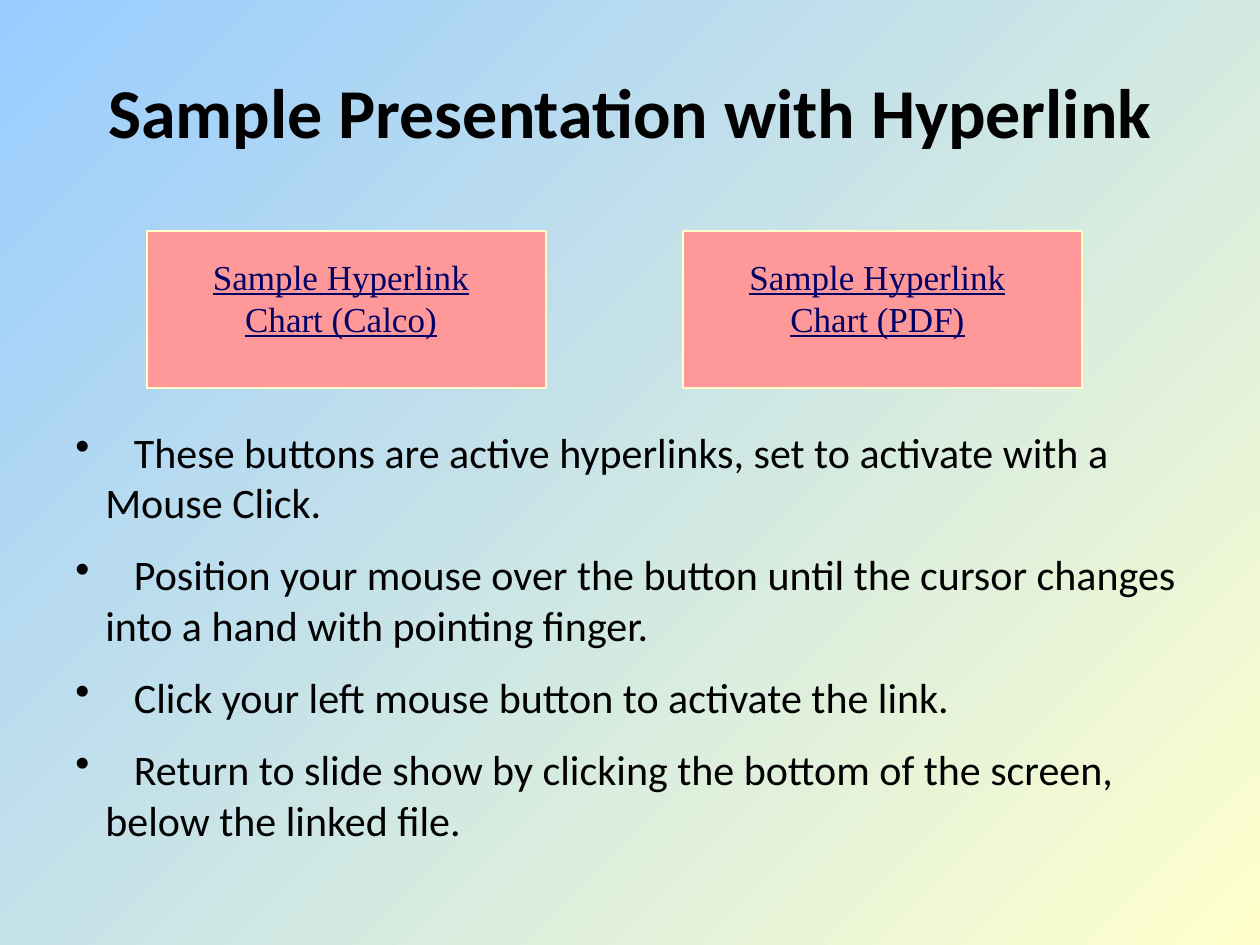
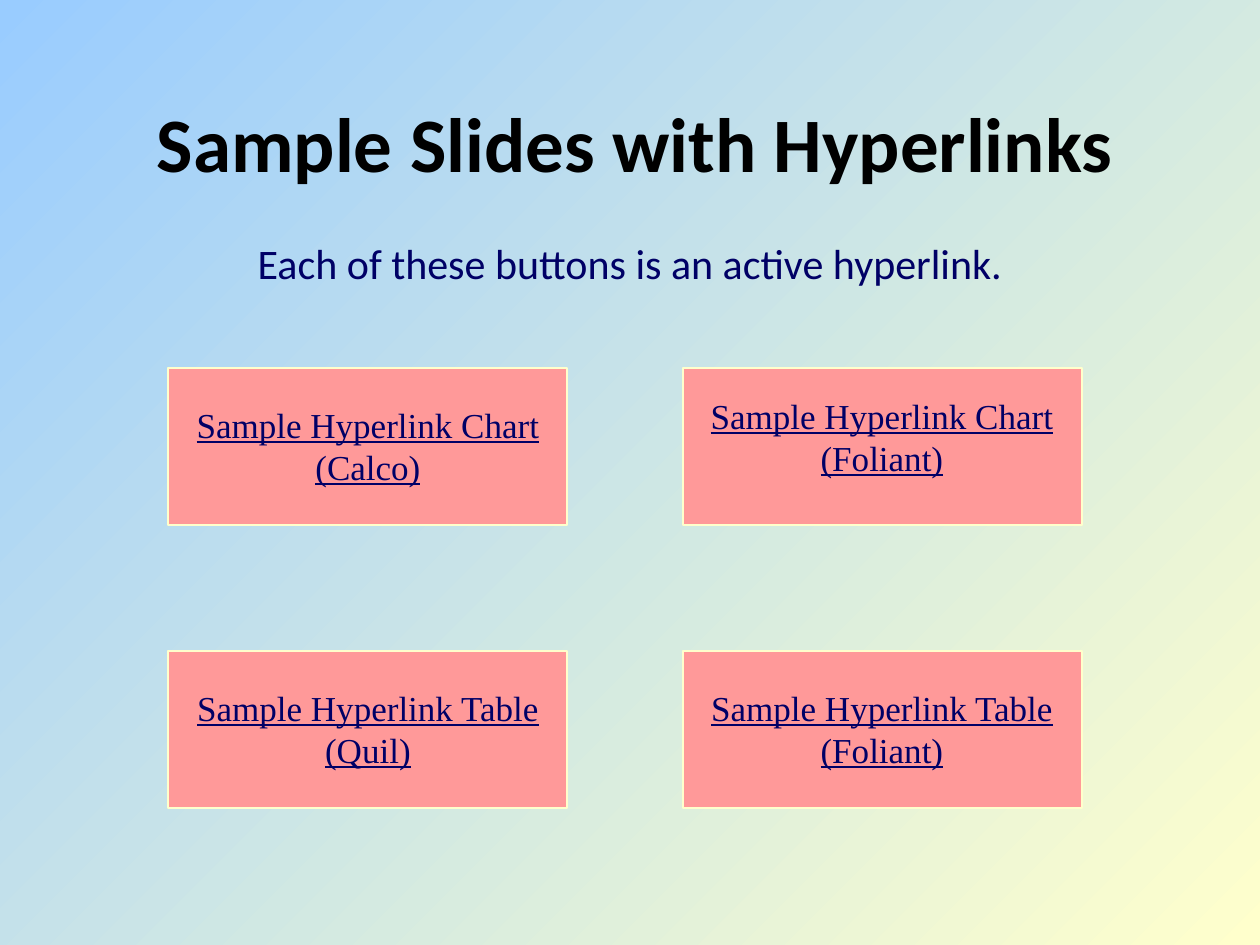
import pptx
import pptx.util
import pptx.dml.color
import pptx.enum.shapes
import pptx.enum.text

PX = 7257.14  # EMU per px, 126 px to the inch
BLACK, NAVY, PINK, CREAM, SKY = "000000", "000066", "FF9999", "FFFFCC", "99CCFF"
ANCHOR = pptx.enum.text.MSO_ANCHOR
ALIGN = pptx.enum.text.PP_ALIGN


def rgb(color):
    return pptx.dml.color.RGBColor.from_string(color)


def add_text(s, box, lines, size, color, font="Calibri", align=ALIGN.CENTER,
             anchor=ANCHOR.TOP, bold=False, underline=False):
    tf = s.shapes.add_textbox(*[round(v * PX) for v in box]).text_frame
    tf.word_wrap = True
    tf.vertical_anchor = anchor
    for i, line in enumerate(lines):
        p = tf.add_paragraph() if i else tf.paragraphs[0]
        p.text = line
        p.alignment = align
        p.font.name = font
        p.font.size = pptx.util.Pt(size)
        p.font.color.rgb = rgb(color)
        p.font.bold = bold
        p.font.underline = underline
    return tf


prs = pptx.Presentation()
prs.slide_width = round(1260 * PX)
prs.slide_height = round(945 * PX)

# Shared background: diagonal gradient on the master
fill = prs.slide_master.background.fill
fill.gradient()
fill.gradient_angle = 315
for stop, color, position in zip(fill.gradient_stops, (SKY, CREAM), (0, 1)):
    stop.color.rgb = rgb(color)
    stop.position = position

# Each slide: title, its size and box, then buttons as
# (left, top, caption box, caption)
slides = [
    ("Sample Presentation with Hyperlink", 40, (0, 32, 1260, 157), [
        (147, 231, (199, 249, 284, 97), "Sample Hyperlink Chart (Calco)"),
        (683, 231, (725, 249, 305, 97), "Sample Hyperlink Chart (PDF)"),
    ]),
    ("Sample Slides with Hyperlinks", 44, (53, 63, 1165, 157), [
        (168, 368, (179, 397, 378, 97), "Sample Hyperlink Chart (Calco)"),
        (683, 368, (693, 388, 378, 97), "Sample Hyperlink Chart (Foliant)"),
        (168, 651, (179, 680, 378, 97), "Sample Hyperlink Table (Quil)"),
        (683, 651, (693, 680, 378, 97), "Sample Hyperlink Table (Foliant)"),
    ]),
]
for title, size, title_box, buttons in slides:
    s = prs.slides.add_slide(prs.slide_layouts[6])
    add_text(s, title_box, [title], size, BLACK, anchor=ANCHOR.MIDDLE, bold=True)
    for left, top, caption_box, caption in buttons:
        sp = s.shapes.add_shape(
            pptx.enum.shapes.MSO_SHAPE.ACTION_BUTTON_CUSTOM,
            *[round(v * PX) for v in (left, top, 399, 157)])
        sp.shadow.inherit = False
        sp.fill.solid()
        sp.fill.fore_color.rgb = rgb(PINK)
        sp.line.color.rgb = rgb(CREAM)
        sp.line.width = pptx.util.Pt(1)
        add_text(s, caption_box, [caption], 20, NAVY, "Times New Roman", underline=True)

# Slide 1: bulleted instructions
tf = add_text(prs.slides[0], (63, 420, 1134, 440), [
    " These buttons are active hyperlinks, set to activate with a Mouse Click.",
    " Position your mouse over the button until the cursor changes into a hand with pointing finger.",
    " Click your left mouse button to activate the link.",
    " Return to slide show by clicking the bottom of the screen, below the linked file.",
], 24, BLACK, align=ALIGN.LEFT)
for p in tf.paragraphs:
    p.space_before = pptx.util.Pt(12.5)
    # Widen the leading space so the first line starts further in
    r = p.runs[0]
    words = r.text.strip()
    r.text = " "
    r._r.get_or_add_rPr().set("spc", "1090")
    p.add_run().text = words
    # Hanging bullet
    pPr = p._p.get_or_add_pPr()
    pPr.set("marL", str(round(30 * PX)))
    pPr.set("indent", str(round(-30 * PX)))
    bullet = pptx.oxml.parse_xml(
        '<a:buChar xmlns:a="http://schemas.openxmlformats.org/drawingml/2006/main" char="•"/>')
    pPr.insert_element_before(bullet, "a:tabLst", "a:defRPr", "a:extLst")
tf.paragraphs[0].space_before = pptx.util.Pt(0)

# Slide 2: subtitle
add_text(prs.slides[1], (0, 231, 1260, 63),
         ["Each of these buttons is an active hyperlink."], 24, NAVY)

prs.save("out.pptx")
